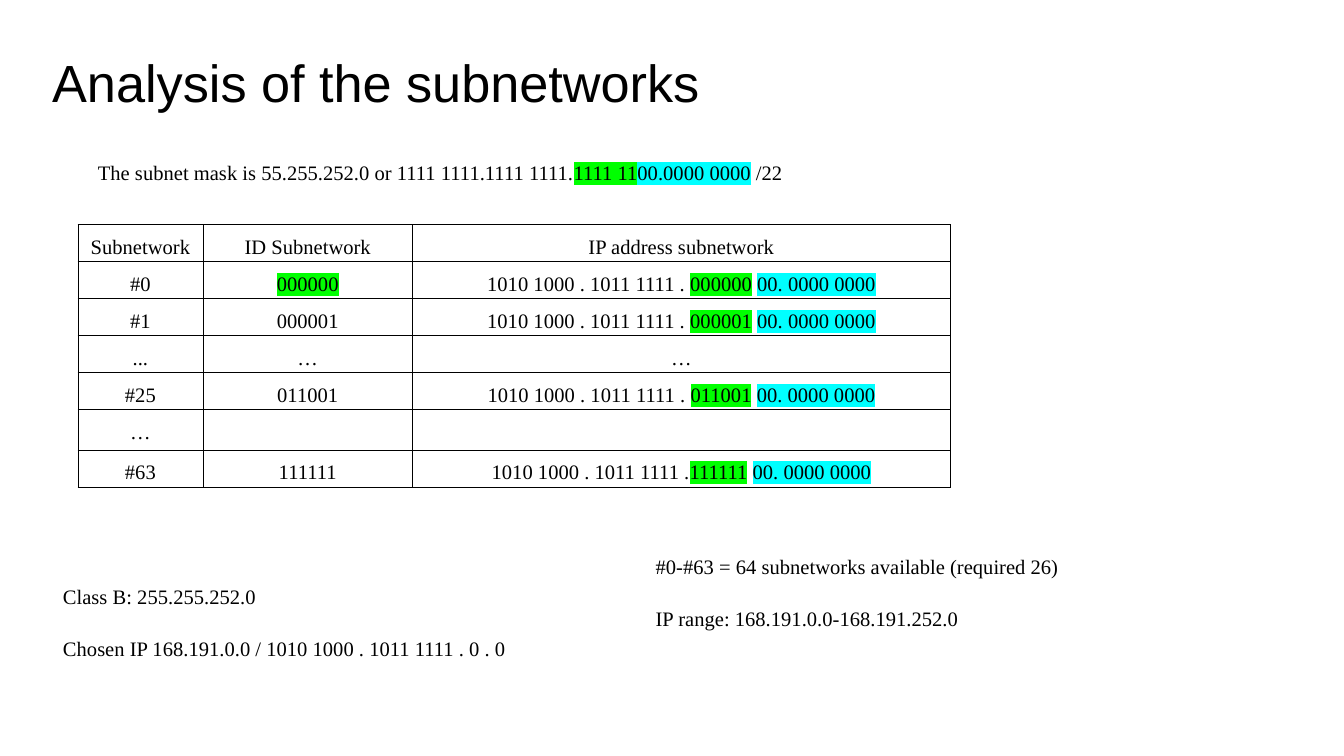
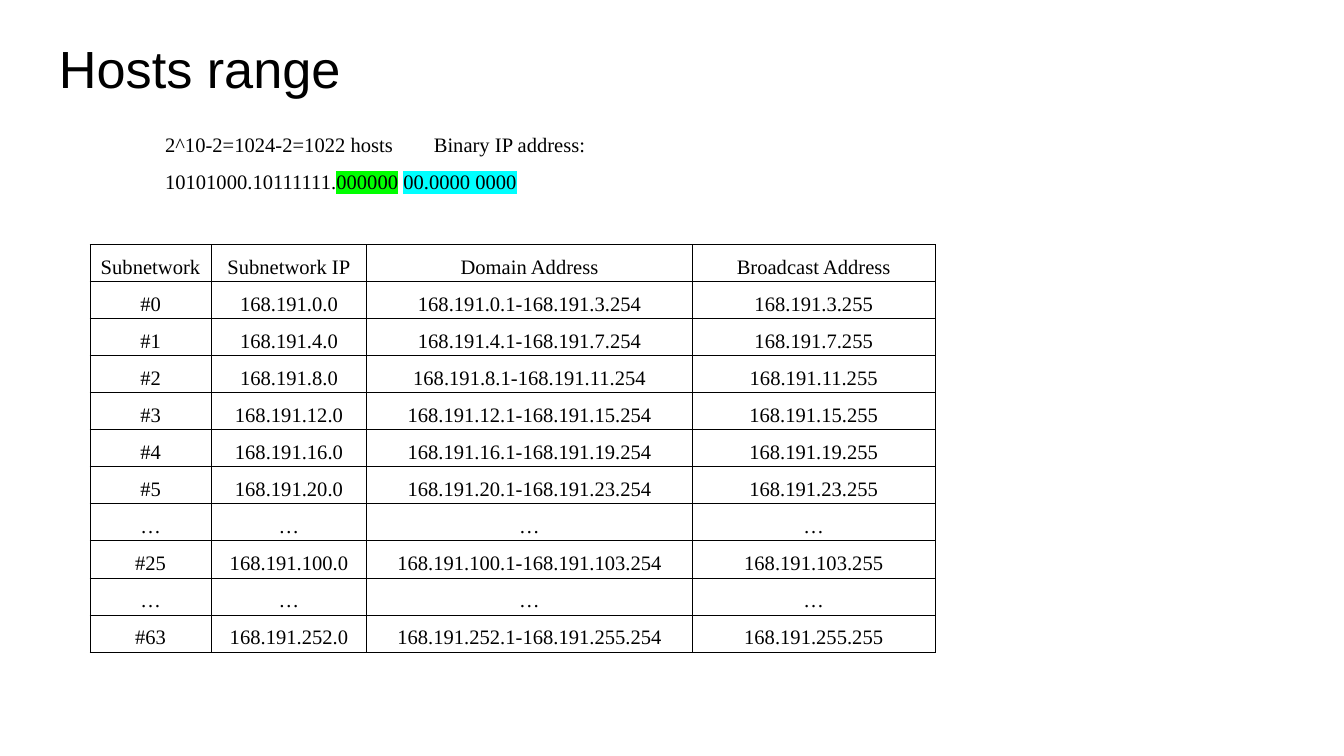
from lxml.etree import SubElement
from pptx import Presentation
from pptx.dml.color import RGBColor
from pptx.enum.text import MSO_ANCHOR, PP_ALIGN
from pptx.oxml.ns import qn
from pptx.util import Inches, Pt

BLACK = RGBColor(0x00, 0x00, 0x00)
GREEN = RGBColor(0x00, 0xFF, 0x00)
CYAN = RGBColor(0x00, 0xFF, 0xFF)
HEAD = "Arial"
BODY = "Times New Roman"
DOTS = "…"


def add_run(para, text, mark=None, size=11, face=BODY):
    run = para.add_run()
    run.text = text
    font = run.font
    font.size = Pt(size)
    font.color.rgb = BLACK
    # The highlight goes between the fill and the typeface
    if mark is not None:
        light = SubElement(font._element, qn("a:highlight"))
        SubElement(light, qn("a:srgbClr")).set("val", str(mark))
    font.name = face


def add_runs(para, parts):
    """Fill a paragraph from plain text or from (text, mark) pairs."""
    para.line_spacing = 1.5
    if isinstance(parts, str):
        parts = [(parts, None)]
    for text, mark in parts:
        add_run(para, text, mark)


def add_box(slide, left, top, width, height, anchor=MSO_ANCHOR.TOP):
    box = slide.shapes.add_textbox(
        Inches(left), Inches(top), Inches(width), Inches(height))
    frame = box.text_frame
    frame.word_wrap = True
    frame.vertical_anchor = anchor
    frame.margin_left = frame.margin_right = Inches(0.1)
    frame.margin_top = frame.margin_bottom = Inches(0.1)
    return frame


def add_title(slide, text, left, top, width, height):
    frame = add_box(slide, left, top, width, height)
    add_run(frame.paragraphs[0], text, size=28, face=HEAD)


def add_notes(frame, first, second):
    """Two lines, the second one set apart."""
    add_runs(frame.paragraphs[0], first)
    para = frame.add_paragraph()
    add_runs(para, second)
    para.space_before = para.space_after = Pt(8)


def add_border(cell):
    props = cell._tc.get_or_add_tcPr()
    for side in ("a:lnL", "a:lnR", "a:lnT", "a:lnB"):
        line = SubElement(props, qn(side), w=str(Pt(0.5)))
        fill = SubElement(line, qn("a:solidFill"))
        SubElement(fill, qn("a:srgbClr")).set("val", str(BLACK))


def add_grid(slide, left, top, widths, rows):
    side = Inches(3.28)
    shape = slide.shapes.add_table(
        len(rows), len(widths), Inches(left), Inches(top), side, side)
    table = shape.table
    table.first_row = table.horz_banding = False
    for col, width in zip(table.columns, widths):
        col.width = Inches(width)
    for line, row in zip(table.rows, rows):
        # Rows grow to fit their text
        line.height = Inches(0.01)
        for cell, parts in zip(line.cells, row):
            cell.margin_left = cell.margin_right = Inches(0.07)
            cell.margin_top = cell.margin_bottom = 0
            add_border(cell)
            cell.fill.background()
            if parts:
                para = cell.text_frame.paragraphs[0]
                para.alignment = PP_ALIGN.CENTER
                add_runs(para, parts)
    shape.width = shape.height = side


def net_row(num, gap=" "):
    """Subnetwork number, its six-bit ID and its binary address."""
    code = f"{num:06b}"
    name = [(code, GREEN)] if num == 0 else code
    address = [("1010 1000 . 1011 1111 ." + gap, None), (code, GREEN),
               (" ", None), ("00. 0000 0000", CYAN)]
    return [f"#{num}", name, address]


def host_row(num):
    """Each subnetwork spans four values of the third byte."""
    low, top = 4 * num, 4 * num + 3
    net = "168.191"
    return [f"#{num}", f"{net}.{low}.0",
            f"{net}.{low}.1-{net}.{top}.254", f"{net}.{top}.255"]


def add_nets(slide):
    add_title(slide, "Analysis of the subnetworks", 0.29, 0.27, 9.01, 0.48)

    # Subnet mask
    para = add_box(slide, 0.13, 1, 9.32, 0.48).paragraphs[0]
    para._p.get_or_add_pPr().set("indent", str(Inches(0.5)))
    add_runs(para, [
        ("The subnet mask is 55.255.252.0 or 1111 1111.1111 1111.", None),
        ("1111 11", GREEN), ("00.0000 0000", CYAN), (" /22", None)])

    # Subnetwork table
    add_grid(slide, 0.58, 1.67, [0.93, 1.56, 4], [
        ["Subnetwork", "ID Subnetwork", "IP address subnetwork"],
        net_row(0), net_row(1), ["...", DOTS, DOTS],
        net_row(25), [DOTS, "", ""], net_row(63, gap="")])

    # Notes below
    add_notes(add_box(slide, 0.37, 3.68, 3.58, 1.81, MSO_ANCHOR.MIDDLE),
              "Class B: 255.255.252.0",
              "Chosen IP 168.191.0.0 / 1010 1000 . 1011 1111 . 0 . 0")
    add_notes(add_box(slide, 4.78, 3.93, 4.11, 1.3),
              "#0-#63 = 64 subnetworks available (required 26)",
              "IP range: 168.191.0.0-168.191.252.0")


def add_hosts(slide):
    add_title(slide, "Hosts range", 0.34, 0.17, 9.32, 0.63)

    # Host count and binary address
    para = add_box(slide, 1.13, 0.79, 5.03, 0.7).paragraphs[0]
    para.space_after = Pt(8)
    add_runs(para, [
        ("2^10-2=1024-2=1022 hosts\tBinary IP address: 10101000.10111111.",
         None),
        ("000000", GREEN), (" ", None), ("00.0000 0000", CYAN)])

    # Host table
    skip = [DOTS] * 4
    add_grid(slide, 0.67, 1.82, [0.9, 1.16, 2.42, 1.81], [
        ["Subnetwork", "Subnetwork IP", "Domain Address",
         "Broadcast Address"],
        *[host_row(num) for num in range(6)],
        skip, host_row(25), skip, host_row(63)])


def main():
    deck = Presentation()
    # Widescreen, 16 to 9
    deck.slide_width = Inches(10)
    deck.slide_height = Inches(10) * 9 // 16
    blank = deck.slide_layouts[6]
    for build in (add_nets, add_hosts):
        build(deck.slides.add_slide(blank))
    deck.save("out.pptx")


main()
